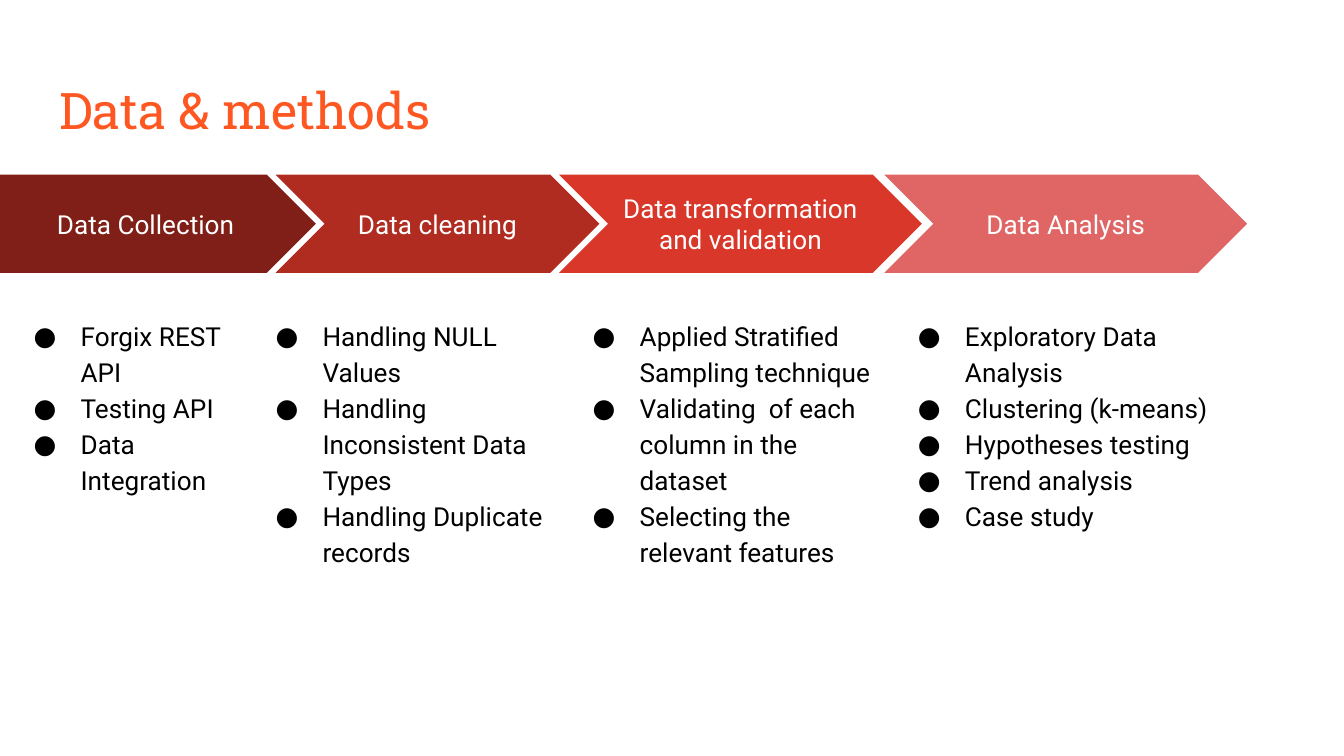
from lxml import etree
from pptx import Presentation
from pptx import util as u
from pptx.dml import color
from pptx.enum import shapes, text
from pptx.oxml import ns

COLORS = {
    "title": "FF5722",
    "body": "000000",
    "label": "FFFFFF",
    "collection": "801F17",
    "cleaning": "B02B20",
    "transformation": "D83729",
    "analysis": "E06666",
}
INSET = u.Pt(7.2)
FRAME = {
    "word_wrap": True,
    "auto_size": text.MSO_AUTO_SIZE.NONE,
    "margin_left": INSET,
    "margin_right": INSET,
    "margin_top": INSET,
    "margin_bottom": INSET,
}
TITLE_FONT = {"name": "Roboto Slab", "size": u.Pt(27), "bold": False}
BODY_FONT = {"name": "Roboto", "size": u.Pt(14), "bold": False}
ARROW_TOP, ARROW_HEIGHT = 93.6, 52.56
LIST_TOP, LIST_HEIGHT = 162, 205.92

STAGES = [
    {"label": "Data Collection", "color": "collection",
     "arrow": (0, 169.2), "list": (0, 147.6),
     "items": ["Forgix REST API", "Testing API", "Data Integration"]},
    {"label": "Data cleaning", "color": "cleaning",
     "arrow": (147.6, 173.52), "list": (129.6, 179.28),
     "items": ["Handling NULL Values", "Handling Inconsistent Data Types",
               "Handling Duplicate records"]},
    {"label": "Data transformation and validation", "color": "transformation",
     "arrow": (299.52, 194.4), "list": (299.52, 179.28),
     "items": ["Applied Stratified Sampling technique",
               "Validating  of each column in the dataset",
               "Selecting the relevant features"]},
    {"label": "Data Analysis", "color": "analysis",
     "arrow": (473.76, 194.4), "list": (473.76, 194.4),
     "items": ["Exploratory Data Analysis", "Clustering (k-means)",
               "Hypotheses testing", "Trend analysis", "Case study"]},
]


def set_values(target, values):
    """Set each named attribute of the target."""
    for name, value in values.items():
        setattr(target, name, value)


def rgb(name):
    """Return the named colour."""
    return color.RGBColor.from_string(COLORS[name])


def place(shape, box):
    """Move a shape to a left, top, width, height box in points."""
    names = ("left", "top", "width", "height")
    set_values(shape, dict(zip(names, map(u.Pt, box))))


def format_frame(shape, anchor):
    """Apply the shared text box settings and return the text frame."""
    frame = shape.text_frame
    set_values(frame, {**FRAME, "vertical_anchor": anchor})
    return frame


def write(paragraph, words, font, color_name, **layout):
    """Write one formatted run into a paragraph."""
    set_values(paragraph, layout)
    run = paragraph.add_run()
    run.text = words
    set_values(run.font, font)
    run.font.color.rgb = rgb(color_name)


def add_bullet(paragraph):
    """Give a paragraph a hanging round bullet."""
    properties = paragraph._p.get_or_add_pPr()
    properties.set("marL", str(u.Pt(36)))
    properties.set("indent", str(-u.Pt(25.2)))
    bullet_color = etree.SubElement(properties, ns.qn("a:buClr"))
    etree.SubElement(bullet_color, ns.qn("a:srgbClr"), val=COLORS["body"])
    etree.SubElement(properties, ns.qn("a:buFont"), typeface="Roboto")
    etree.SubElement(properties, ns.qn("a:buChar"), char="●")


def fill_title(shape, words, box):
    """Place and write the slide title."""
    place(shape, box)
    frame = format_frame(shape, text.MSO_ANCHOR.TOP)
    write(frame.paragraphs[0], words, TITLE_FONT, "title",
          alignment=text.PP_ALIGN.LEFT)


def add_arrow(slide, kind, label, color_name, box):
    """Add one labelled arrow of the process band."""
    shape = slide.shapes.add_shape(kind, *map(u.Pt, box))
    shape.shadow.inherit = False
    shape.fill.solid()
    shape.fill.fore_color.rgb = rgb(color_name)
    shape.line.fill.background()
    frame = format_frame(shape, text.MSO_ANCHOR.MIDDLE)
    write(frame.paragraphs[0], label, BODY_FONT, "label",
          alignment=text.PP_ALIGN.CENTER)


def fill_list(shape, items, box):
    """Place a body placeholder and write its bulleted items."""
    place(shape, box)
    frame = format_frame(shape, text.MSO_ANCHOR.TOP)
    for index, item in enumerate(items):
        paragraph = frame.add_paragraph() if index else frame.paragraphs[0]
        add_bullet(paragraph)
        write(paragraph, item, BODY_FONT, "body", line_spacing=1.15,
              space_before=u.Pt(0), alignment=text.PP_ALIGN.LEFT)


def main():
    """Build and save the process slide."""
    presentation = Presentation()
    presentation.slide_width, presentation.slide_height = u.Pt(720), u.Pt(405)
    comparison_layout = presentation.slide_layouts[4]
    slide = presentation.slides.add_slide(comparison_layout)
    title, *bodies = slide.placeholders
    fill_title(title, "Data & methods", (24.48, 35.28, 671.04, 45.36))
    for index, (body, stage) in enumerate(zip(bodies, STAGES)):
        kind = shapes.MSO_SHAPE.CHEVRON if index else shapes.MSO_SHAPE.PENTAGON
        left, width = stage["arrow"]
        add_arrow(slide, kind, stage["label"], stage["color"],
                  (left, ARROW_TOP, width, ARROW_HEIGHT))
        left, width = stage["list"]
        fill_list(body, stage["items"], (left, LIST_TOP, width, LIST_HEIGHT))
    presentation.save("out.pptx")


if __name__ == "__main__":
    main()
